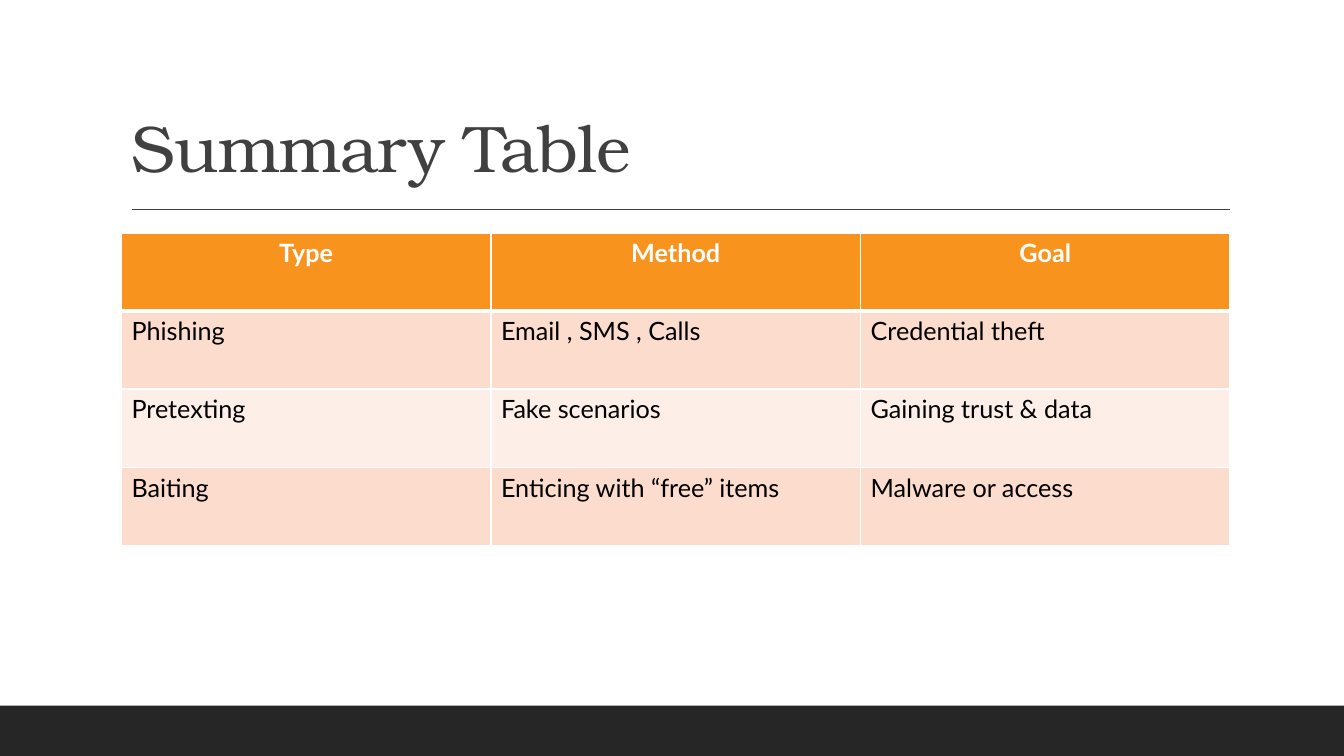
from lxml import etree
from pptx import Presentation
from pptx.dml.color import RGBColor
from pptx.enum.shapes import MSO_CONNECTOR, MSO_SHAPE
from pptx.enum.text import MSO_ANCHOR, PP_ALIGN
from pptx.oxml.ns import qn
from pptx.util import Cm, Pt

LINE = MSO_CONNECTOR.STRAIGHT
RECT = MSO_SHAPE.RECTANGLE
BOTTOM = MSO_ANCHOR.BOTTOM
LEFT, CENTER = PP_ALIGN.LEFT, PP_ALIGN.CENTER

COLORS = {
    "white": "FFFFFF", "black": "000000", "bar": "262626", "gray": "404040",
    "head": "F8931D", "odd": "FCDCCD", "even": "FEEEE8",
}
ROWS = [
    ("Type", "Method", "Goal"),
    ("Phishing", "Email , SMS , Calls", "Credential theft"),
    ("Pretexting", "Fake scenarios", "Gaining trust & data"),
    ("Baiting", "Enticing with “free” items", "Malware or access"),
]


def color(name):
    return RGBColor.from_string(COLORS[name])


def write(frame, text, font="Lato", size=18, tint="black", bold=False,
          align=LEFT, space=None, track=None):
    para = frame.paragraphs[0]
    para.alignment = align
    para.line_spacing = space
    run = para.add_run()
    run.text = text
    run.font.name = font
    run.font.size = Pt(size)
    run.font.bold = bold
    run.font.color.rgb = color(tint)
    if track is not None:
        run.font._element.set("spc", str(round(track * 100)))


class Deck:
    def __init__(self, wide, high):
        self.show = Presentation()
        self.show.slide_width, self.show.slide_height = Cm(wide), Cm(high)
        self.slide = self.show.slides.add_slide(self.show.slide_layouts[6])
        self.shapes = self.slide.shapes

    def bar(self, x, y, w, h, tint):
        box = self.shapes.add_shape(RECT, Cm(x), Cm(y), Cm(w), Cm(h))
        box.shadow.inherit = False
        box.fill.solid()
        box.fill.fore_color.rgb = color(tint)
        box.line.fill.background()

    def rule(self, x, y, end, tint):
        line = self.shapes.add_connector(LINE, Cm(x), Cm(y), Cm(end), Cm(y))
        line.line.color.rgb = color(tint)
        line.line.width = Pt(1)
        etree.SubElement(line._element.spPr, qn("a:effectLst"))

    def title(self, x, y, w, h, text, **style):
        frame = self.shapes.add_textbox(Cm(x), Cm(y), Cm(w), Cm(h)).text_frame
        frame.word_wrap = True
        frame.vertical_anchor = BOTTOM
        write(frame, text, **style)

    def border(self, cell, tint, base):
        props = cell._tc.get_or_add_tcPr()
        for spot, side in enumerate("LRTB"):
            line = etree.Element(qn(f"a:ln{side}"))
            line.set("w", str(Pt(base if side == "B" else 1)))
            fill = etree.SubElement(line, qn("a:solidFill"))
            etree.SubElement(fill, qn("a:srgbClr")).set("val", COLORS[tint])
            props.insert(spot, line)

    def table(self, x, y, w, h, rows):
        grid = self.shapes.add_table(
            len(rows), len(rows[0]), Cm(x), Cm(y), Cm(w), Cm(h)).table
        for r, row in enumerate(rows):
            head = r == 0
            tint = "head" if head else "odd" if r % 2 else "even"
            for c, text in enumerate(row):
                cell = grid.cell(r, c)
                cell.fill.solid()
                cell.fill.fore_color.rgb = color(tint)
                self.border(cell, "white", 3 if head else 1)
                write(cell.text_frame, text, bold=head,
                      tint="white" if head else "black",
                      align=CENTER if head else LEFT)


def main():
    deck = Deck(33.87, 19.05)

    # Footer bar and title rule
    deck.bar(0, 17.78, 33.87, 1.27, "bar")
    deck.rule(3.33, 5.28, 31, "gray")

    # Title
    deck.title(3.06, 0.79, 27.94, 4.04, "Summary Table", font="TeX Gyre Bonum",
               size=47, tint="gray", space=0.9, track=-0.5)

    # Summary table
    deck.table(3.06, 5.87, 27.94, 7.87, ROWS)

    deck.show.save("out.pptx")


if __name__ == "__main__":
    main()
